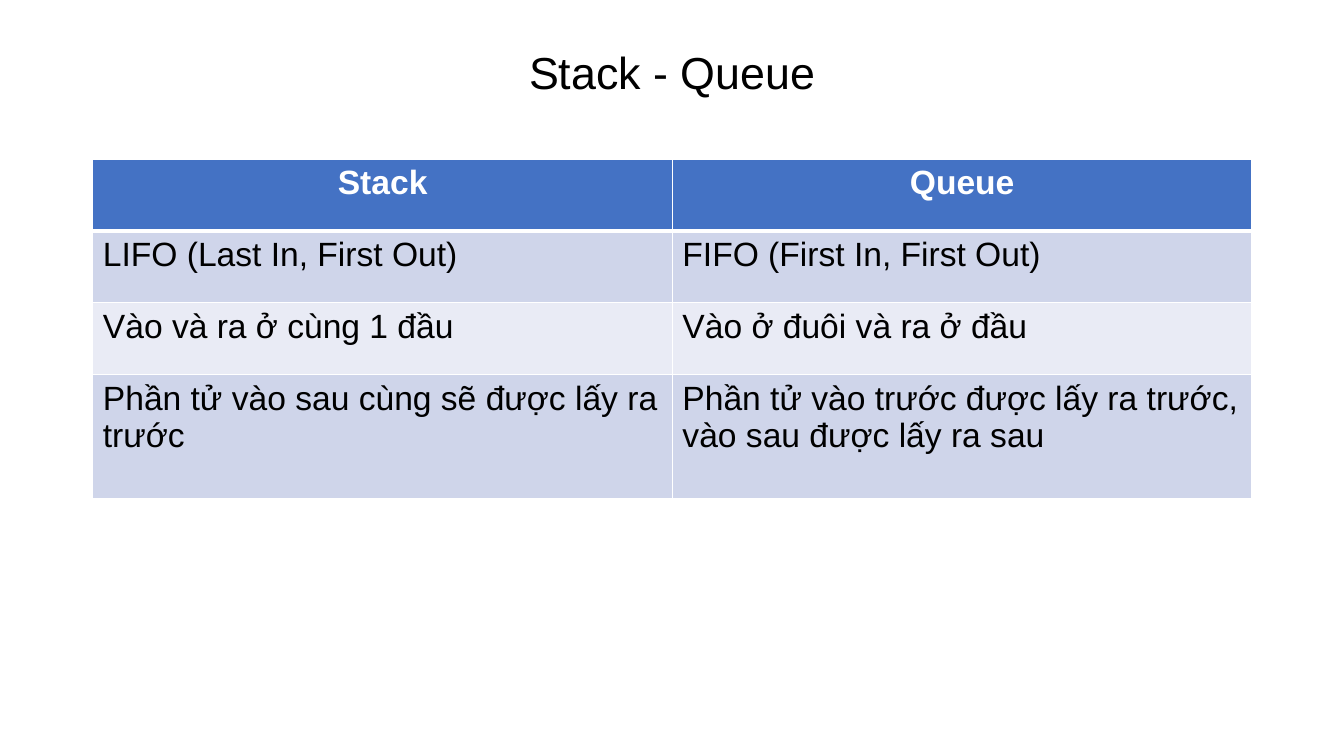
from dataclasses import dataclass

from lxml.etree import SubElement
from pptx import Presentation
from pptx.dml.color import RGBColor
from pptx.enum.text import MSO_ANCHOR, PP_ALIGN
from pptx.oxml.ns import qn
from pptx.table import _Cell as Cell
from pptx.text.text import TextFrame
from pptx.util import Cm, Pt

FONT = "Arial"
WHITE, BLACK = "FFFFFF", "000000"
LEFT, WIDTH = 2.34, 29.21


@dataclass(frozen=True)
class Row:
    stack: str
    queue: str
    fill: str
    height: float = 1.81
    header: bool = False


ROWS = [
    Row("Stack", "Queue", "4472C4", header=True),
    Row("LIFO (Last In, First Out)", "FIFO (First In, First Out)", "CFD5EA"),
    Row("Vào và ra ở cùng 1 đầu", "Vào ở đuôi và ra ở đầu", "E9EBF5"),
    Row(
        "Phần tử vào sau cùng sẽ được lấy ra trước",
        "Phần tử vào trước được lấy ra trước, vào sau được lấy ra sau",
        "CFD5EA",
        height=3.13,
    ),
]


def rgb(value: str) -> RGBColor:
    return RGBColor.from_string(value)


def write(tf: TextFrame, text: str, size: float, color: str,
          align: PP_ALIGN, bold: bool = False) -> None:
    p = tf.paragraphs[0]
    p.alignment = align
    r = p.add_run()
    r.text = text
    r.font.name = FONT
    r.font.size = Pt(size)
    r.font.bold = bold
    r.font.color.rgb = rgb(color)


def add_borders(cell: Cell, top: float, bottom: float) -> None:
    tc_pr = cell._tc.get_or_add_tcPr()
    for side, width in (("L", 1), ("R", 1), ("T", top), ("B", bottom)):
        ln = SubElement(tc_pr, qn(f"a:ln{side}"), w=str(Pt(width)))
        SubElement(SubElement(ln, qn("a:solidFill")), qn("a:srgbClr"), val=WHITE)


def fill_row(cells: list[Cell], row: Row, top: float) -> None:
    for cell, text in zip(cells, (row.stack, row.queue)):
        add_borders(cell, top, 3 if row.header else 1)
        cell.fill.solid()
        cell.fill.fore_color.rgb = rgb(row.fill)
        write(
            cell.text_frame, text, 24,
            WHITE if row.header else BLACK,
            PP_ALIGN.CENTER if row.header else PP_ALIGN.LEFT,
            row.header,
        )


def main() -> None:
    prs = Presentation()
    prs.slide_width, prs.slide_height = Cm(33.87), Cm(19.05)
    s = prs.slides.add_slide(prs.slide_layouts[5])

    title = s.shapes.title
    title.left, title.top = Cm(LEFT), Cm(0.05)
    title.width, title.height = Cm(WIDTH), Cm(3.68)
    tf = title.text_frame
    tf.vertical_anchor = MSO_ANCHOR.MIDDLE
    write(tf, "Stack - Queue", 32, BLACK, PP_ALIGN.CENTER)
    tf.paragraphs[0].line_spacing = 0.9

    height = sum(row.height for row in ROWS)
    table = s.shapes.add_table(
        len(ROWS), 2, Cm(LEFT), Cm(4.01), Cm(WIDTH), Cm(height)
    ).table
    for i, row in enumerate(ROWS):
        table.rows[i].height = Cm(row.height)
        after_header = i > 0 and ROWS[i - 1].header
        fill_row(list(table.rows[i].cells), row, 3 if after_header else 1)

    prs.save("out.pptx")


if __name__ == "__main__":
    main()
